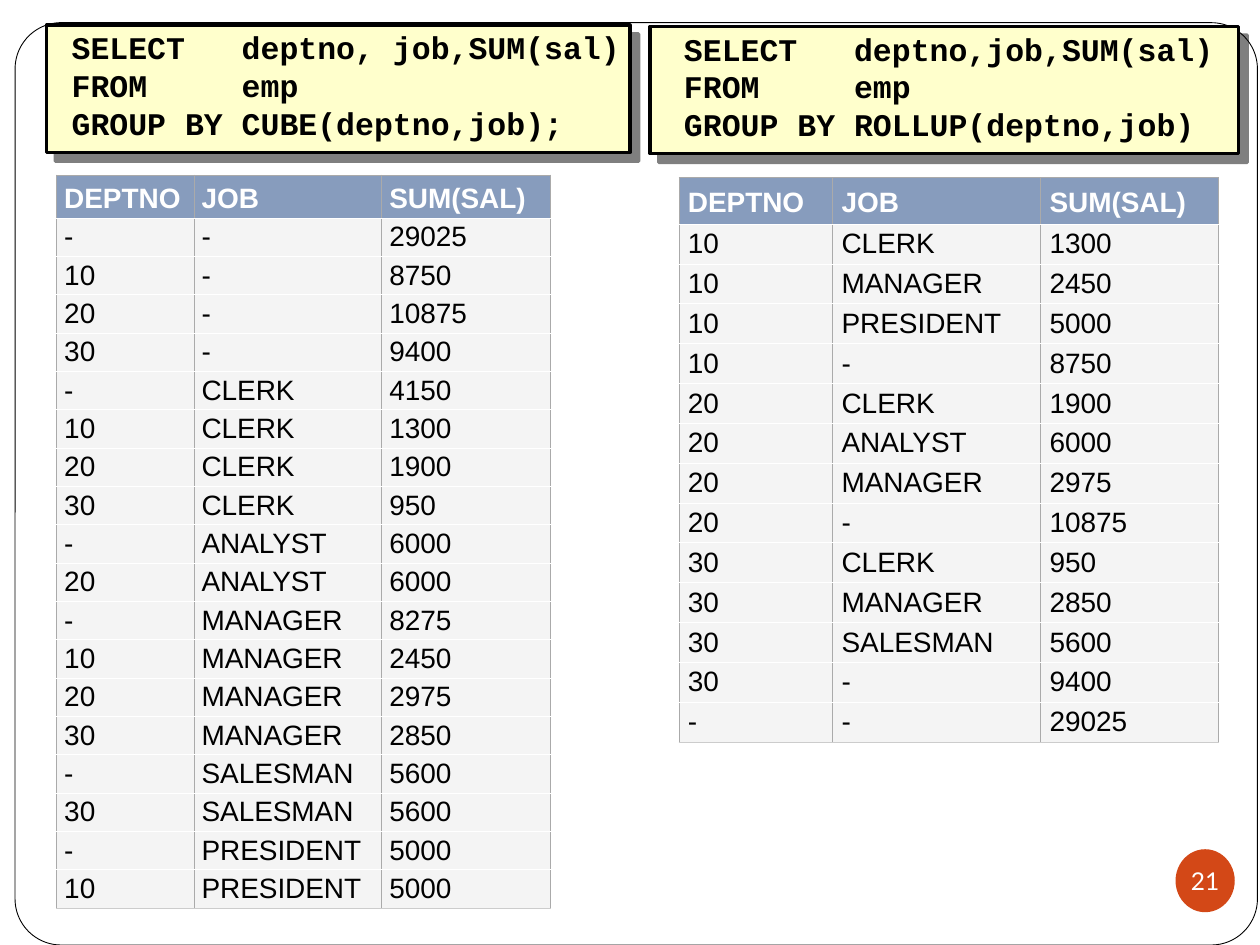
"""Build a slide that compares the results of GROUP BY CUBE and ROLLUP."""
from lxml import etree
from pptx import Presentation
from pptx.dml.color import RGBColor
from pptx.enum.shapes import MSO_SHAPE
from pptx.enum.text import MSO_ANCHOR, PP_ALIGN
from pptx.oxml.ns import qn
from pptx.util import Inches, Pt

HEAD = ("DEPTNO", "JOB", "SUM(SAL)")
CUBE = {
    "code": [
        " SELECT   deptno, job,SUM(sal)",
        " FROM     emp",
        " GROUP BY CUBE(deptno,job);",
    ],
    "rows": [
        ("-", "-", "29025"),
        ("10", "-", "8750"),
        ("20", "-", "10875"),
        ("30", "-", "9400"),
        ("-", "CLERK", "4150"),
        ("10", "CLERK", "1300"),
        ("20", "CLERK", "1900"),
        ("30", "CLERK", "950"),
        ("-", "ANALYST", "6000"),
        ("20", "ANALYST", "6000"),
        ("-", "MANAGER", "8275"),
        ("10", "MANAGER", "2450"),
        ("20", "MANAGER", "2975"),
        ("30", "MANAGER", "2850"),
        ("-", "SALESMAN", "5600"),
        ("30", "SALESMAN", "5600"),
        ("-", "PRESIDENT", "5000"),
        ("10", "PRESIDENT", "5000"),
    ],
    "panel": (0.37, 0.2, 4.63, 1.01),
    "label": (0.32, 0.01, 4.68, 1.33),
    "grid": (0.45, 1.39, 3.92, 5.82),
    "cols": (1.09, 1.49, 1.34),
    "top": 0.34,
    "side": 0.06,
    "pads": (0.03, 0.01),
}
ROLLUP = {
    "code": [
        " SELECT   deptno,job,SUM(sal)",
        " FROM     emp",
        " GROUP BY ROLLUP(deptno,job)",
    ],
    "rows": [
        ("10", "CLERK", "1300"),
        ("10", "MANAGER", "2450"),
        ("10", "PRESIDENT", "5000"),
        ("10", "-", "8750"),
        ("20", "CLERK", "1900"),
        ("20", "ANALYST", "6000"),
        ("20", "MANAGER", "2975"),
        ("20", "-", "10875"),
        ("30", "CLERK", "950"),
        ("30", "MANAGER", "2850"),
        ("30", "SALESMAN", "5600"),
        ("30", "-", "9400"),
        ("-", "-", "29025"),
    ],
    "panel": (5.16, 0.21, 4.67, 1.01),
    "label": (5.18, 0.02, 4.82, 1.33),
    "grid": (5.39, 1.41, 4.28, 4.48),
    "cols": (1.22, 1.65, 1.41),
    "top": 0.37,
    "side": 0.07,
    "pads": (0.05, 0.02),
}
COLORS = {
    "black": "000000",
    "white": "FFFFFF",
    "cream": "FFFFCC",
    "head": "879CBD",
    "body": "F4F4F4",
    "edge": "AAAAAA",
    "foot": "CCCCCC",
    "badge": "D34817",
}


def tint(name):
    return RGBColor.from_string(COLORS[name])


def write(frame, text, font="Arial", size=16, color="black", bold=False, align=None):
    for i, line in enumerate(text.split("\n")):
        para = frame.paragraphs[0] if i == 0 else frame.add_paragraph()
        para.alignment = align
        run = para.add_run()
        run.text = line
        run.font.name = font
        run.font.size = Pt(size)
        run.font.bold = bold
        run.font.color.rgb = tint(color)


def draw(slide, kind, box, fill, line=None, width=0.5):
    shape = slide.shapes.add_shape(kind, *map(Inches, box))
    shape.shadow.inherit = False
    shape.fill.solid()
    shape.fill.fore_color.rgb = tint(fill)
    if line:
        shape.line.color.rgb = tint(line)
        shape.line.width = Pt(width)
    else:
        shape.line.fill.background()
    return shape


def shade(shape):
    effects = shape.element.spPr.find(qn("a:effectLst"))
    cast = etree.SubElement(
        effects, qn("a:outerShdw"), blurRad="0", dist=str(Pt(7.1)), dir=str(45 * 60000),
        algn="ctr", rotWithShape="0")
    color = etree.SubElement(cast, qn("a:srgbClr"), val=COLORS["black"])
    etree.SubElement(color, qn("a:alpha"), val="50000")


def edge(cell, top, bottom):
    props = cell._tc.get_or_add_tcPr()
    for side, name in (("L", "edge"), ("R", "edge"), ("T", top), ("B", bottom)):
        line = etree.SubElement(props, qn(f"a:ln{side}"), w=str(Pt(0.6)))
        fill = etree.SubElement(line, qn("a:solidFill"))
        etree.SubElement(fill, qn("a:srgbClr"), val=COLORS[name])


def fill_grid(slide, data):
    rows = [HEAD] + data["rows"]
    last = len(rows) - 1
    table = slide.shapes.add_table(len(rows), len(HEAD), *map(Inches, data["grid"])).table
    table.horz_banding = False
    for col, width in zip(table.columns, data["cols"]):
        col.width = Inches(width)
    step = (data["grid"][3] - data["top"]) / last
    for r, row in enumerate(rows):
        head = r == 0
        table.rows[r].height = Inches(data["top"] if head else step)
        for c, text in enumerate(row):
            cell = table.cell(r, c)
            cell.margin_left = cell.margin_right = Inches(data["side"])
            cell.margin_top = cell.margin_bottom = Inches(data["pads"][0 if head else 1])
            cell.vertical_anchor = MSO_ANCHOR.BOTTOM if head else MSO_ANCHOR.MIDDLE
            edge(cell, "edge" if head else "white", "foot" if r == last else "white")
            cell.fill.solid()
            cell.fill.fore_color.rgb = tint("head" if head else "body")
            write(cell.text_frame, text, color="white" if head else "black", bold=head)


def add_query(slide, data):
    shade(draw(slide, MSO_SHAPE.RECTANGLE, data["panel"], "cream", "black", 2))
    frame = slide.shapes.add_textbox(*map(Inches, data["label"])).text_frame
    frame.word_wrap = True
    frame.margin_right = 0
    frame.vertical_anchor = MSO_ANCHOR.MIDDLE
    write(frame, "\n".join(data["code"]), font="Courier New", size=18, bold=True)
    fill_grid(slide, data)


def main():
    deck = Presentation()
    deck.slide_width, deck.slide_height = Inches(10), Inches(7.5)
    slide = deck.slides.add_slide(deck.slide_layouts[6])
    border = draw(
        slide, MSO_SHAPE.ROUNDED_RECTANGLE, (0.12, 0.18, 9.86, 7.32), "white", "black")
    border.adjustments[0] = 0.05
    for data in (CUBE, ROLLUP):
        add_query(slide, data)
    badge = draw(slide, MSO_SHAPE.OVAL, (9.33, 6.74, 0.47, 0.5), "badge")
    frame = badge.text_frame
    frame.margin_left = frame.margin_right = frame.margin_top = frame.margin_bottom = 0
    frame.word_wrap = False
    frame.vertical_anchor = MSO_ANCHOR.MIDDLE
    write(frame, "21", font="Lato", size=14, color="white", align=PP_ALIGN.CENTER)
    deck.save("out.pptx")


if __name__ == "__main__":
    main()
